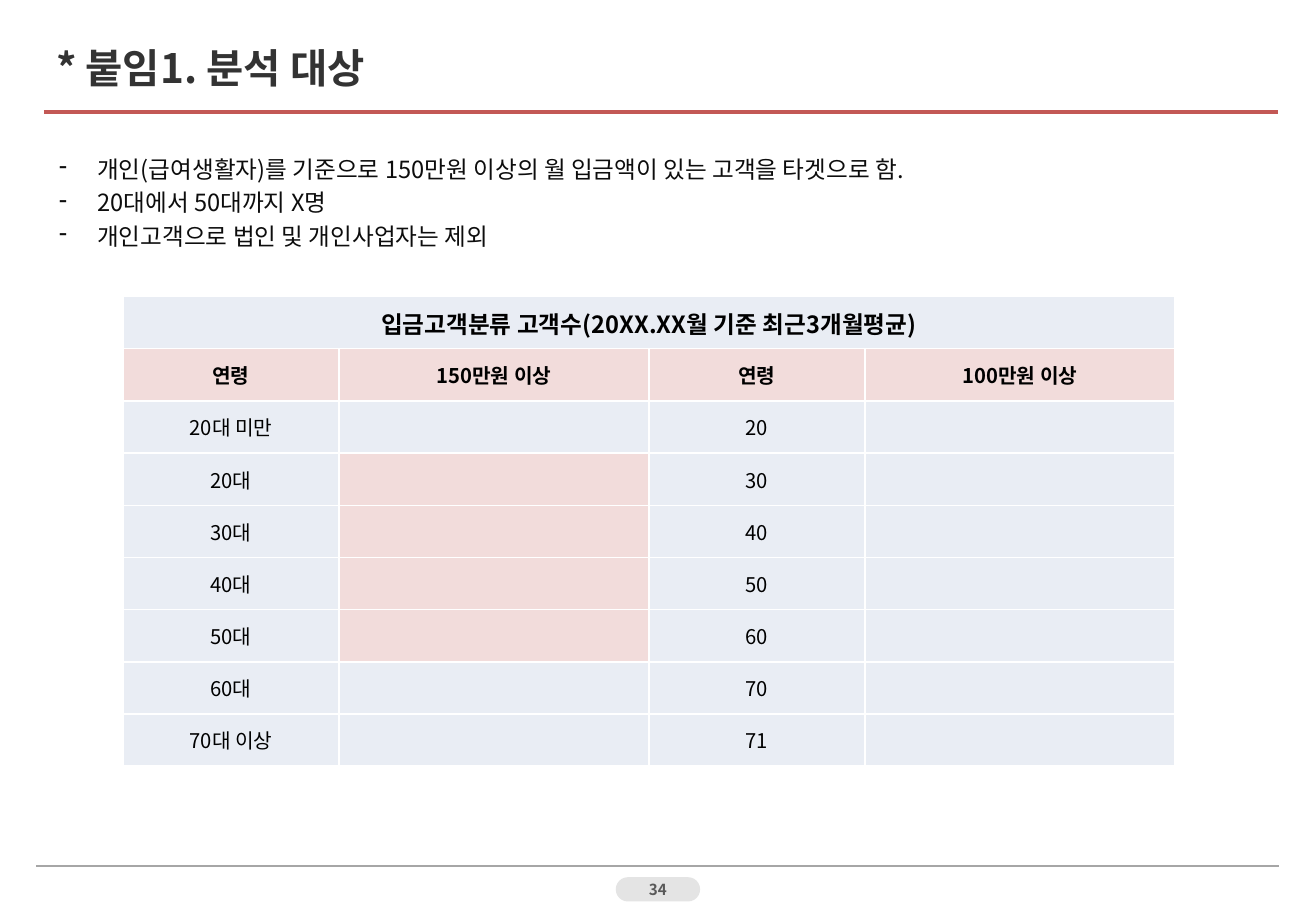
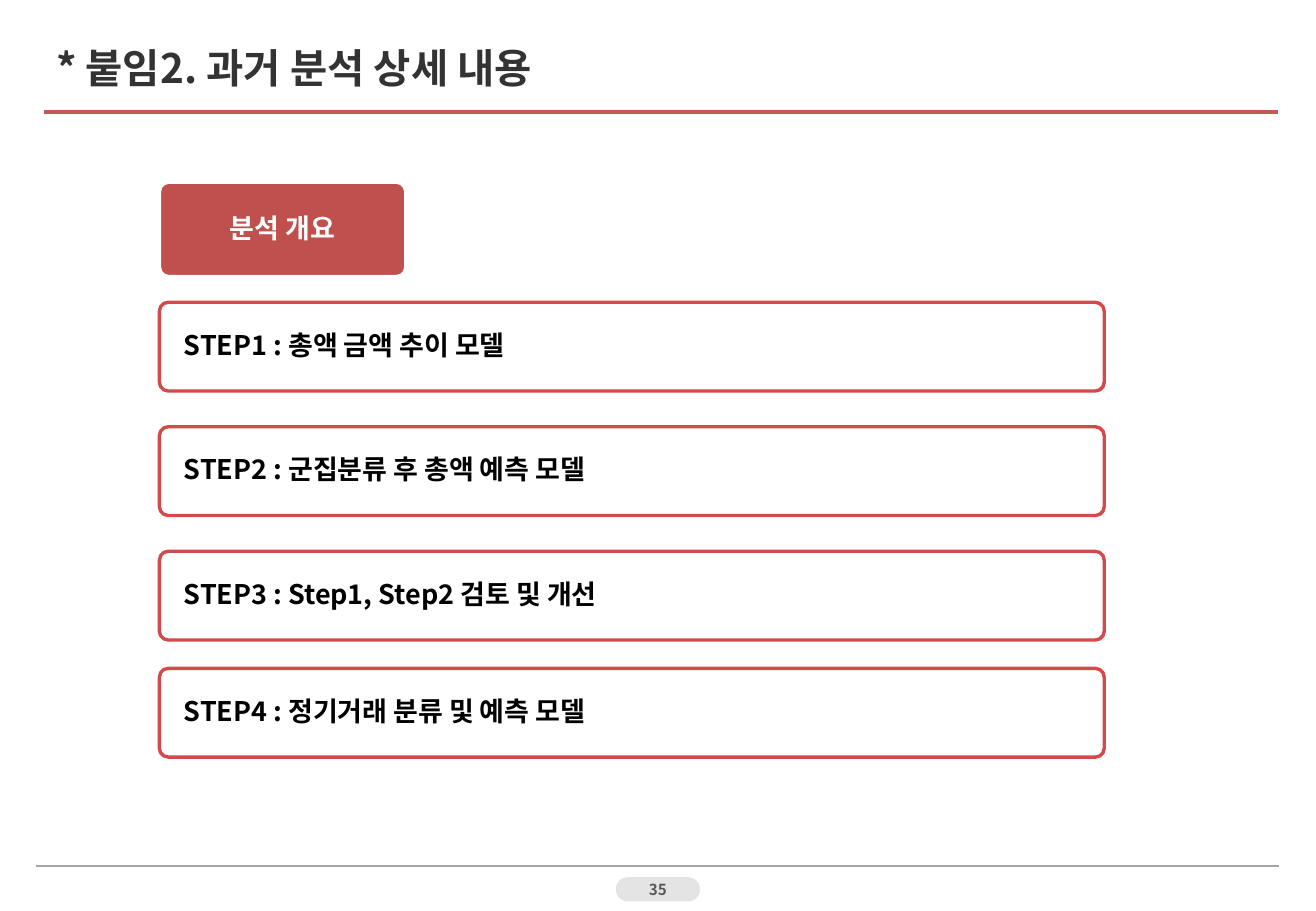
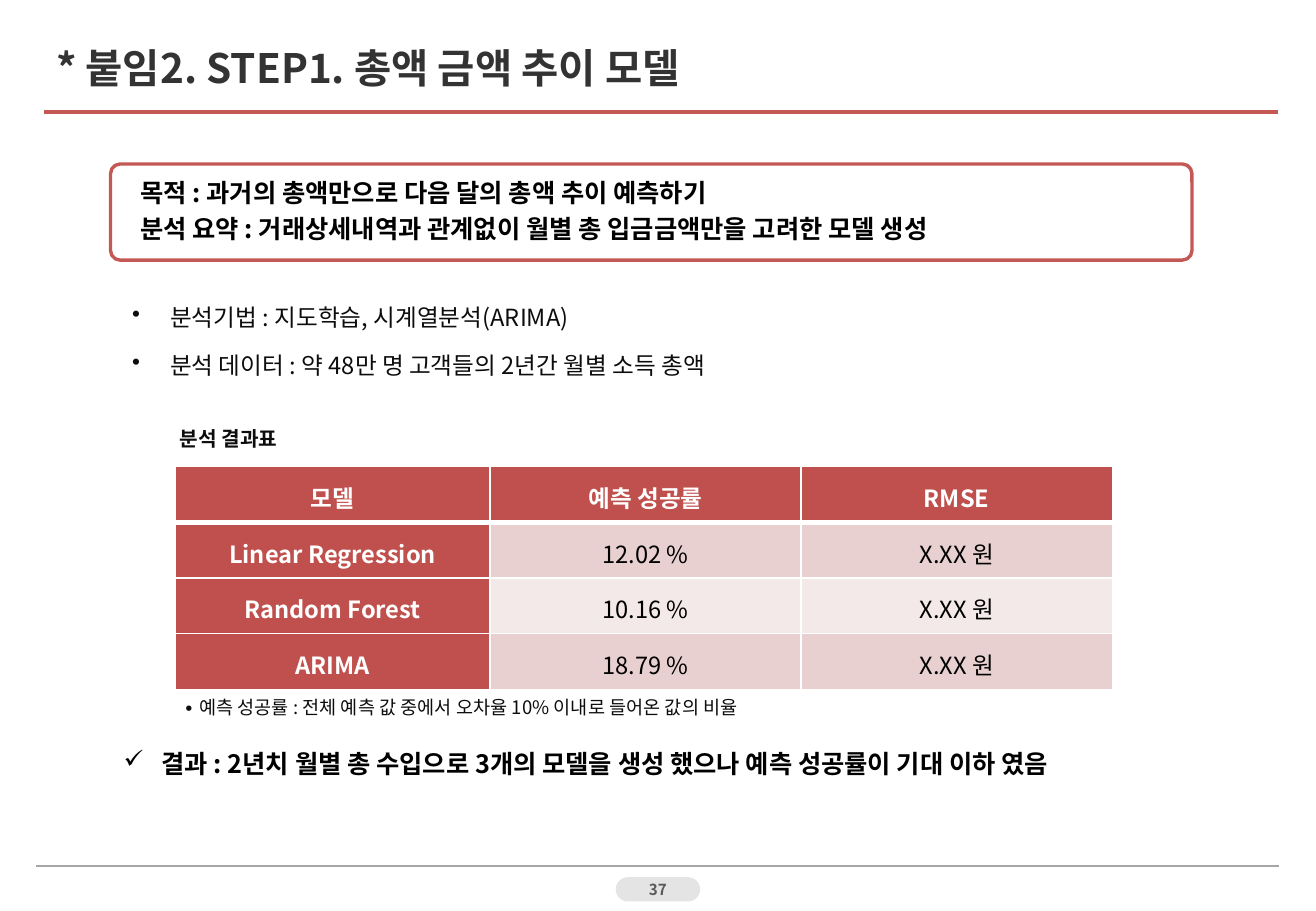
"""Build three appendix slides: analysis target, past analysis steps and the STEP1 results."""
import lxml.etree
import pptx
import pptx.chart
import pptx.dml.color
import pptx.enum.shapes
import pptx.enum.text
import pptx.oxml
import pptx.oxml.ns
import pptx.util

Pt = pptx.util.Pt
qn = pptx.oxml.ns.qn
ALIGN = pptx.enum.text.PP_ALIGN
ANCHOR = pptx.enum.text.MSO_ANCHOR
ROUNDED = pptx.enum.shapes.MSO_SHAPE.ROUNDED_RECTANGLE
STRAIGHT = pptx.enum.shapes.MSO_CONNECTOR.STRAIGHT
FONT = "Noto Sans CJK KR"
HEX = {
    "white": "FFFFFF", "black": "000000", "ink": "0D0D0D", "title": "333333",
    "number": "595959", "pill": "E4E4E4", "footer": "A6A6A6", "rule": "C35855",
    "step": "D24A4A", "red": "C0504D", "pale": "E9EDF4", "pink": "F2DCDB",
    "rose": "E8D0D0", "blush": "F4E9E9",
}
COLORS = {name: pptx.dml.color.RGBColor.from_string(value) for name, value in HEX.items()}


def write(frame, lines, size, color, bold=False, align=ALIGN.LEFT, spacing=1.0, before=0, after=0, bullet=None):
    frame.word_wrap = True
    for index, line in enumerate(lines):
        paragraph = frame.add_paragraph() if index else frame.paragraphs[0]
        paragraph.alignment = align
        paragraph.line_spacing = spacing
        paragraph.space_before = Pt(before * size)
        paragraph.space_after = Pt(after * size)
        if bullet:
            properties = paragraph._p.get_or_add_pPr()
            properties.set("marL", str(Pt(22.5)))
            properties.set("indent", str(Pt(-22.5)))
            lxml.etree.SubElement(properties, qn("a:buChar")).set("char", bullet)
        run = paragraph.add_run()
        run.text = line
        run.font.name = FONT
        run.font.size = Pt(size)
        run.font.bold = bold
        run.font.color.rgb = COLORS[color]
        lxml.etree.SubElement(run._r.get_or_add_rPr(), qn("a:ea")).set("typeface", FONT)


def add_card(slide, left, top, width, height, fill, line=None, corner=0.1, inset=0):
    card = slide.shapes.add_shape(ROUNDED, Pt(left), Pt(top), Pt(width), Pt(height))
    card.shadow.inherit = False
    card.adjustments[0] = corner
    card.fill.solid()
    card.fill.fore_color.rgb = COLORS[fill]
    if line:
        card.line.color.rgb = COLORS[line]
        card.line.width = Pt(2)
    else:
        card.line.fill.background()
    frame = card.text_frame
    frame.margin_left = frame.margin_right = Pt(inset)
    frame.margin_top = frame.margin_bottom = 0
    frame.vertical_anchor = ANCHOR.MIDDLE
    return frame


deck = pptx.Presentation()
deck.slide_width, deck.slide_height = Pt(780), Pt(540)

headings = [
    ("* 붙임1. 분석 대상", "34"),
    ("* 붙임2. 과거 분석 상세 내용", "35"),
    ("* 붙임2. STEP1. 총액 금액 추이 모델", "37"),
]
rules = [(26, 757.5, 66.3, "rule", 2.25), (21.6, 758.2, 513.4, "footer", 0.75)]
for heading, number in headings:
    slide = deck.slides.add_slide(deck.slide_layouts[5])
    title = slide.shapes.title
    title.left, title.top, title.width, title.height = Pt(26), Pt(21.6), Pt(499), Pt(36)
    title.text_frame.vertical_anchor = ANCHOR.TOP
    title.text_frame.auto_size = pptx.enum.text.MSO_AUTO_SIZE.NONE
    write(title.text_frame, [heading], 24, "title", bold=True)
    for start, end, height, color, weight in rules:
        rule = slide.shapes.add_connector(STRAIGHT, Pt(start), Pt(height), Pt(end), Pt(height))
        rule.line.color.rgb = COLORS[color]
        rule.line.width = Pt(weight)
        lxml.etree.SubElement(rule._element.spPr, qn("a:effectLst"))
    page = add_card(slide, 365, 520, 50, 14.4, "pill", corner=0.5)
    write(page, [number], 9, "number", bold=True, align=ALIGN.CENTER)
target, overview, result = deck.slides

overview_label = add_card(overview, 94.5, 108, 146, 56, "red", line="white")
write(overview_label, ["분석 개요"], 16, "white", bold=True, align=ALIGN.CENTER, spacing=0.9, after=0.35)
steps = [
    (179.2, "STEP1 : 총액 금액 추이 모델"),
    (253, "STEP2 : 군집분류 후 총액 예측 모델"),
    (326.8, "STEP3 : Step1, Step2 검토 및 개선"),
    (396.2, "STEP4 : 정기거래 분류 및 예측 모델"),
]
for top, step in steps:
    step_card = add_card(overview, 94.5, top, 560, 52.6, "white", line="step", inset=13)
    write(step_card, [step], 16, "black", bold=True, spacing=0.9, after=0.35)

purpose = add_card(result, 65.5, 97.2, 641, 57, "white", line="rule", inset=16)
purpose_lines = [
    "목적 : 과거의 총액만으로 다음 달의 총액 추이 예측하기",
    "분석 요약 : 거래상세내역과 관계없이 월별 총 입금금액만을 고려한 모델 생성",
]
write(purpose, purpose_lines, 15, "black", bold=True, spacing=0.9, after=0.35)

notes = [
    (target, (28, 88.5, 696, 64), 14, "ink", False, 1.0, "-", [
        "개인(급여생활자)를 기준으로 150만원 이상의 월 입금액이 있는 고객을 타겟으로 함.",
        "20대에서 50대까지 X명",
        "개인고객으로 법인 및 개인사업자는 제외",
    ]),
    (result, (71.3, 167.8, 585, 73), 14, "ink", False, 1.5, "•", [
        "분석기법 : 지도학습, 시계열분석(ARIMA)",
        "분석 데이터 : 약 48만 명 고객들의 2년간 월별 소득 총액",
    ]),
    (result, (99.4, 249, 624, 29.5), 12, "ink", True, 1.0, None, ["분석 결과표"]),
    (result, (101.5, 409, 560, 29.5), 11, "ink", False, 1.0, None, [
        "∙ 예측 성공률 : 전체 예측 값 중에서 오차율 10% 이내로 들어온 값의 비율",
    ]),
    (result, (66.2, 440, 629, 42.5), 15, "black", True, 1.0, "✓", [
        "결과 : 2년치 월별 총 수입으로 3개의 모델을 생성 했으나 예측 성공률이 기대 이하 였음",
    ]),
]
for slide, place, size, color, bold, spacing, bullet, lines in notes:
    note = slide.shapes.add_textbox(*[Pt(length) for length in place])
    write(note.text_frame, lines, size, color, bold, spacing=spacing, before=0.2, bullet=bullet)

customer_rows = [
    ["입금고객분류 고객수(20XX.XX월 기준 최근3개월평균)", "", "", ""],
    ["연령", "150만원 이상", "연령", "100만원 이상"],
    ["20대 미만", "", "20", ""],
    ["20대", "", "30", ""],
    ["30대", "", "40", ""],
    ["40대", "", "50", ""],
    ["50대", "", "60", ""],
    ["60대", "", "70", ""],
    ["70대 이상", "", "71", ""],
]
customer_cells = [
    [(text, 14 if r == 0 else 12, "black", r < 2,
      "pink" if r == 1 or (c == 1 and 3 <= r <= 6) else "pale")
     for c, text in enumerate(row)]
    for r, row in enumerate(customer_rows)
]
model_rows = [
    ["모델", "예측 성공률", "RMSE"],
    ["Linear Regression", "12.02 %", "X.XX 원"],
    ["Random Forest", "10.16 %", "X.XX 원"],
    ["ARIMA", "18.79 %", "X.XX 원"],
]
model_cells = [
    [(text, 14, "white", True, "red") if r == 0 or c == 0
     else (text, 14, "black", False, "rose" if r % 2 else "blush")
     for c, text in enumerate(row)]
    for r, row in enumerate(model_rows)
]
tables = [
    (target, 72.8, 175.8, [128.2, 183.6, 128.2, 183.6], 30.95, customer_cells, 0.7, 1.0, 1),
    (result, 103.9, 276.6, [186.6, 184.4, 184.4], 33, model_cells, 5, 1.15, 3),
]
for slide, left, top, widths, row_height, cells, inset, spacing, header_rule in tables:
    table = slide.shapes.add_table(
        len(cells), len(widths), Pt(left), Pt(top), Pt(sum(widths)), Pt(row_height * len(cells))).table
    table.first_row = table.horz_banding = False
    for column, width in zip(table.columns, widths):
        column.width = Pt(width)
    for r, row in enumerate(cells):
        table.rows[r].height = Pt(row_height)
        for c, (text, size, color, bold, fill) in enumerate(row):
            cell = table.cell(r, c)
            cell.margin_left = cell.margin_right = Pt(inset)
            cell.margin_top = cell.margin_bottom = 0
            cell.vertical_anchor = ANCHOR.MIDDLE
            cell.fill.solid()
            cell.fill.fore_color.rgb = COLORS[fill]
            if text:
                write(cell.text_frame, [text], size, color, bold, ALIGN.CENTER, spacing)
            for order, side in enumerate(["a:lnL", "a:lnR", "a:lnT", "a:lnB"]):
                under_header = (r, side) in [(0, "a:lnB"), (1, "a:lnT")]
                border = pptx.oxml.parse_xml(
                    '<%s xmlns:a="http://schemas.openxmlformats.org/drawingml/2006/main" w="%d">'
                    '<a:solidFill><a:srgbClr val="%s"/></a:solidFill></%s>'
                    % (side, Pt(header_rule if under_header else 1), HEX["white"], side))
                cell._tc.get_or_add_tcPr().insert(order, border)
    if slide is target:
        table.cell(0, 0).merge(table.cell(0, len(widths) - 1))

deck.save("out.pptx")
